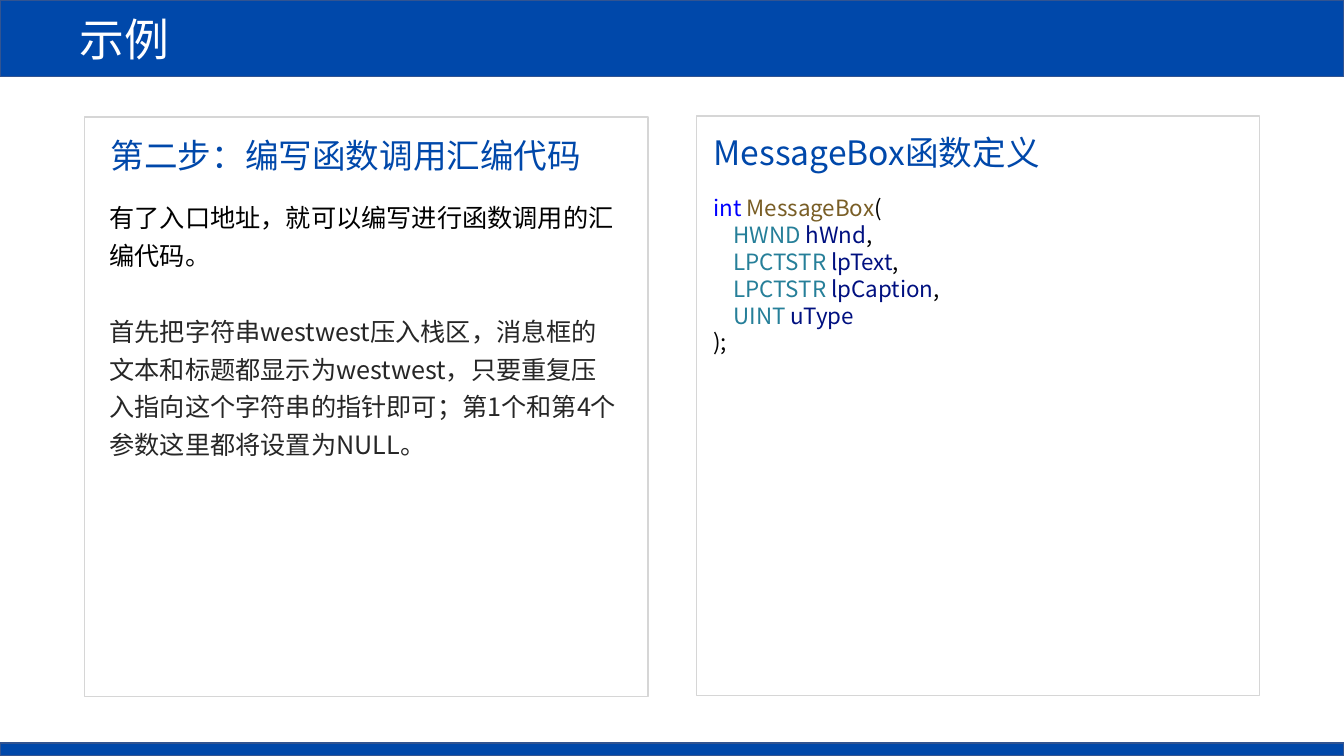
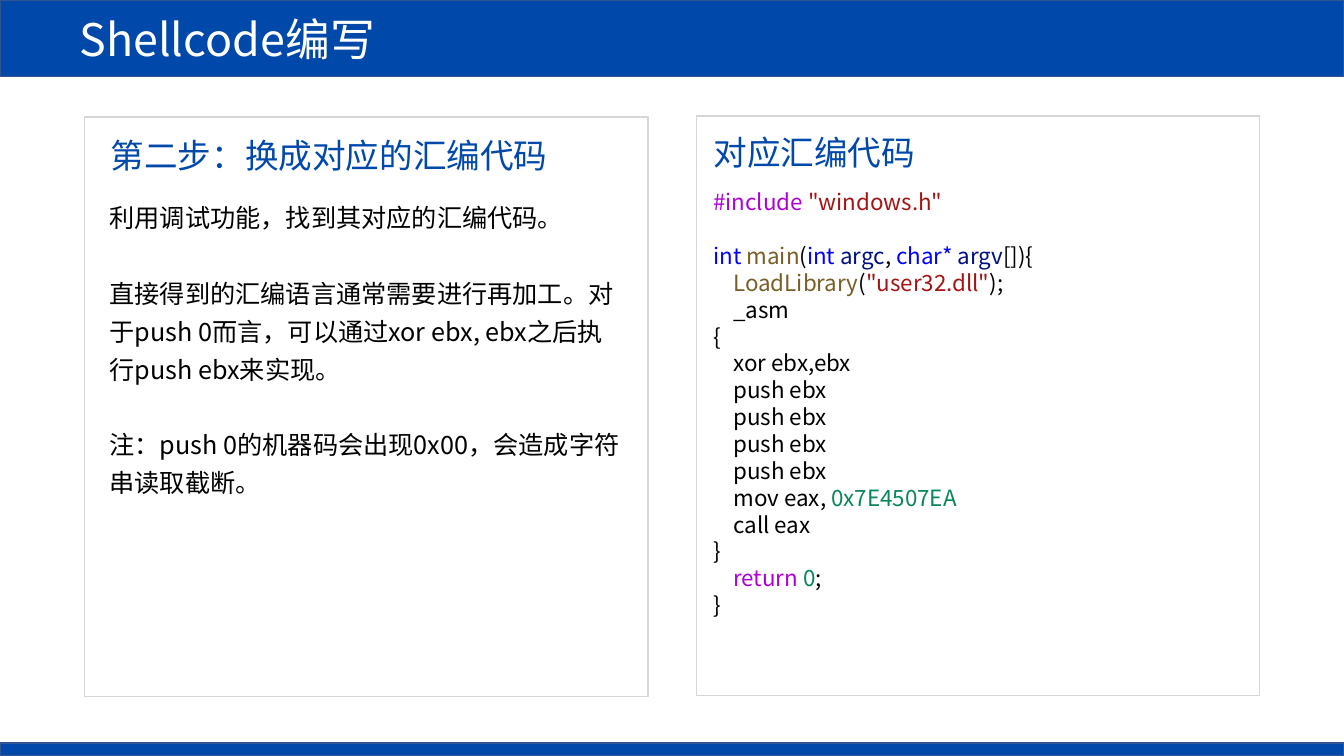
from dataclasses import dataclass

from lxml import etree
from pptx import Presentation
from pptx.dml.color import RGBColor
from pptx.enum.shapes import MSO_SHAPE
from pptx.enum.text import MSO_ANCHOR, PP_ALIGN
from pptx.oxml.ns import qn
from pptx.util import Cm, Pt

RECTANGLE = MSO_SHAPE.RECTANGLE
MIDDLE = MSO_ANCHOR.MIDDLE
LEFT = PP_ALIGN.LEFT


@dataclass(frozen=True)
class Theme:
    font: str = "Noto Sans CJK SC"
    blue: str = "0048AA"
    band_line: str = "325491"
    panel_line: str = "D6D6D6"
    white: str = "FFFFFF"
    black: str = "000000"
    dark: str = "262626"
    keyword: str = "0000FF"
    function: str = "795E26"
    type_name: str = "267F99"
    variable: str = "001080"
    directive: str = "AF00DB"
    string: str = "A31515"
    number: str = "098658"
    title_size: int = 32
    heading_size: int = 24
    body_size: int = 18
    code_size: int = 16
    heading_pitch: float = 31
    body_pitch: float = 27
    code_pitch: float = 19.2


T = Theme()
WIDTH, HEIGHT = 33.87, 19.05
TITLE_HEIGHT, FOOTER_HEIGHT = 1.93, 0.33
PANEL_WIDTH, PANEL_HEIGHT = 14.2, 14.6
TEXT_WIDTH = 13.41
CODE_LEFT = 17.73

PROTOTYPE = [
    [("int ", T.keyword), ("MessageBox", T.function), ("(", T.black)],
    [("    HWND ", T.type_name), ("hWnd", T.variable), (",", T.black)],
    [("    LPCTSTR ", T.type_name), ("lpText", T.variable), (",", T.black)],
    [("    LPCTSTR ", T.type_name), ("lpCaption", T.variable), (",", T.black)],
    [("    UINT ", T.type_name), ("uType", T.variable)],
    [(");", T.black)],
]
PROGRAM = [
    [("#include ", T.directive), ('"windows.h"', T.string)],
    [],
    [("int ", T.keyword), ("main", T.function), ("(", T.black),
     ("int ", T.keyword), ("argc", T.variable), (", ", T.black),
     ("char* ", T.keyword), ("argv", T.variable), ("[]){", T.black)],
    [("    LoadLibrary", T.function), ("(", T.black),
     ('"user32.dll"', T.string), (");", T.black)],
    [("    _asm", T.black)],
    [("{", T.black)],
    [("    xor ebx,ebx", T.black)],
    *[[("    push ebx", T.black)]] * 4,
    [("    mov eax, ", T.black), ("0x7E4507EA", T.number)],
    [("    call eax", T.black)],
    [("}", T.black)],
    [("    return ", T.directive), ("0", T.number), (";", T.black)],
    [("}", T.black)],
]


def style_paragraph(p, size, color, pitch=None):
    p.alignment = LEFT
    if pitch:
        p.line_spacing = Pt(pitch)
    p.font.size = Pt(size)
    p.font.name = T.font
    p.font.color.rgb = RGBColor.from_string(color)
    defaults = p._p.get_or_add_pPr().find(qn("a:defRPr"))
    etree.SubElement(defaults, qn("a:ea"), typeface=T.font)


def add_rectangle(slide, left, top, width, height, line, fill=None):
    sp = slide.shapes.add_shape(RECTANGLE, Cm(left), Cm(top), Cm(width), Cm(height))
    sp.shadow.inherit = False
    if fill:
        sp.fill.solid()
        sp.fill.fore_color.rgb = RGBColor.from_string(fill)
    else:
        sp.fill.background()
    sp.line.color.rgb = RGBColor.from_string(line)
    sp.line.width = Pt(1)
    return sp


def add_text_frame(slide, left, top, width, height):
    tf = slide.shapes.add_textbox(Cm(left), Cm(top), Cm(width), Cm(height)).text_frame
    tf.word_wrap = True
    return tf


def next_paragraph(tf, index):
    return tf.add_paragraph() if index else tf.paragraphs[0]


def add_heading(slide, left, top, text):
    p = add_text_frame(slide, left, top, TEXT_WIDTH, 1.28).paragraphs[0]
    p.text = text
    style_paragraph(p, T.heading_size, T.blue, T.heading_pitch)


def add_body(slide, height, paragraphs):
    tf = add_text_frame(slide, 2.51, 4.79, TEXT_WIDTH, height)
    for i, (text, color) in enumerate(paragraphs):
        p = next_paragraph(tf, i)
        p.text = text
        if i:
            p.space_before = Pt(T.body_pitch)
        style_paragraph(p, T.body_size, color, T.body_pitch)


def add_code(slide, top, lines):
    height = 0.25 + len(lines) * Pt(T.code_pitch).cm
    tf = add_text_frame(slide, CODE_LEFT, top, 14, height)
    after_gap = False
    for i, line in enumerate(lines):
        if not line:
            after_gap = True
            continue
        p = next_paragraph(tf, i)
        if after_gap:
            p.space_before = Pt(T.code_pitch)
            after_gap = False
        style_paragraph(p, T.code_size, T.black, T.code_pitch)
        for text, color in line:
            r = p.add_run()
            r.text = text
            if color != T.black:
                r.font.color.rgb = RGBColor.from_string(color)


def add_slide(prs, title):
    slide = prs.slides.add_slide(prs.slide_layouts[6])
    band = add_rectangle(slide, 0, 0, WIDTH, TITLE_HEIGHT, T.band_line, T.blue)
    tf = band.text_frame
    tf.vertical_anchor = MIDDLE
    tf.margin_left = Cm(2)
    p = tf.paragraphs[0]
    p.text = title
    style_paragraph(p, T.title_size, T.white)
    add_rectangle(slide, 0, HEIGHT - FOOTER_HEIGHT, WIDTH, FOOTER_HEIGHT,
                  T.band_line, T.blue)
    for left, top in ((2.13, 2.95), (17.55, 2.92)):
        add_rectangle(slide, left, top, PANEL_WIDTH, PANEL_HEIGHT, T.panel_line)
    return slide


def add_step_slide(prs, title, step, body_height, paragraphs,
                   code_heading, code_top, code):
    slide = add_slide(prs, title)
    add_heading(slide, 2.54, 3.2, step)
    add_body(slide, body_height, paragraphs)
    add_heading(slide, CODE_LEFT, 3.12, code_heading)
    add_code(slide, code_top, code)


def main():
    prs = Presentation()
    prs.slide_width = Cm(WIDTH)
    prs.slide_height = Cm(HEIGHT)
    add_step_slide(
        prs, "示例", "第二步：编写函数调用汇编代码", 6.9,
        [("有了入口地址，就可以编写进行函数调用的汇编代码。", T.black),
         ("首先把字符串westwest压入栈区，消息框的文本和标题都显示为westwest，"
          "只要重复压入指向这个字符串的指针即可；第1个和第4个参数这里都将设置为NULL。",
          T.dark)],
        "MessageBox函数定义", 4.77, PROTOTYPE)
    add_step_slide(
        prs, "Shellcode编写", "第二步：换成对应的汇编代码", 9.78,
        [("利用调试功能，找到其对应的汇编代码。", T.black),
         ("直接得到的汇编语言通常需要进行再加工。对于push 0而言，"
          "可以通过xor ebx, ebx之后执行push ebx来实现。", T.black),
         ("注：push 0的机器码会出现0x00，会造成字符串读取截断。", T.black)],
        "对应汇编代码", 4.62, PROGRAM)
    prs.save("out.pptx")


if __name__ == "__main__":
    main()
